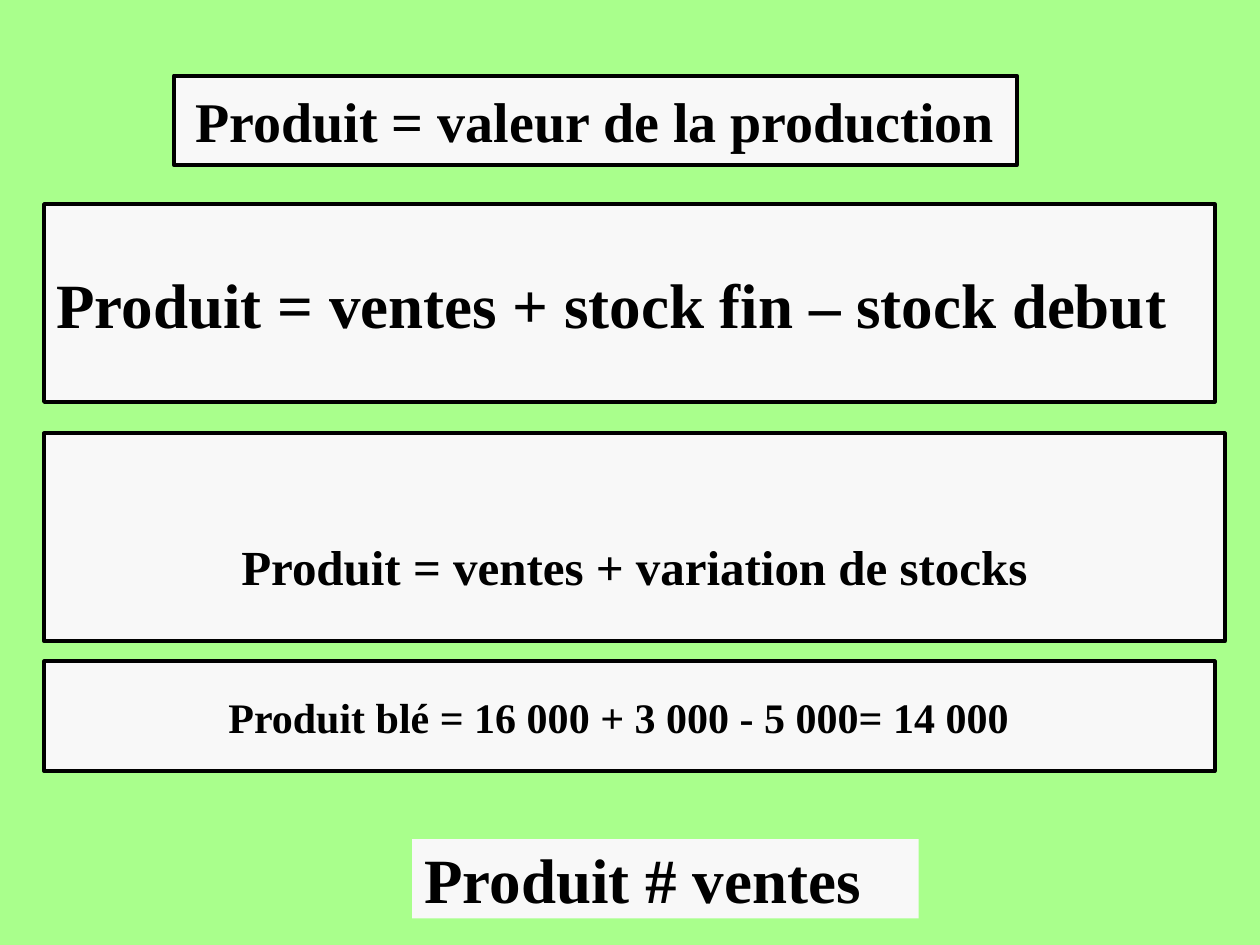
"""Build a slide of formulas defining the product of a farm."""
import pptx
import pptx.util
import pptx.dml.color
import pptx.enum.shapes
import pptx.enum.text
from dataclasses import dataclass

Inches = pptx.util.Inches
Pt = pptx.util.Pt
Color = pptx.dml.color.RGBColor
LEFT = pptx.enum.text.PP_ALIGN.LEFT
CENTER = pptx.enum.text.PP_ALIGN.CENTER


@dataclass(frozen=True)
class Theme:
    background: Color = Color(0xA9, 0xFF, 0x8C)
    panel: Color = Color(0xF8, 0xF8, 0xF8)
    ink: Color = Color(0, 0, 0)
    font: str = "Times New Roman"
    huge: int = 36
    large: int = 32
    medium: int = 28
    small: int = 24
    border: float = 2.25


theme = Theme()
deck = pptx.Presentation()
deck.slide_width, deck.slide_height = Inches(10), Inches(7.5)
page = deck.slides.add_slide(deck.slide_layouts[6])
page.background.fill.solid()
page.background.fill.fore_color.rgb = theme.background

formulas = [
    ("Produit = ventes + stock fin – stock debut", (0.35, 1.62, 9.29, 1.57), theme.huge, LEFT, True, 0.05, 0.1),
    ("Produit = valeur de la production", (1.38, 0.6, 6.69, 0.71), theme.large, CENTER, True, 0.05, 0.1),
    ("Produit = ventes + variation de stocks", (0.35, 3.44, 9.37, 1.65), theme.medium, CENTER, True, 0.5, 0.1),
    ("Produit blé = 16 000 + 3 000 - 5 000= 14 000", (0.35, 5.25, 9.29, 0.87), theme.small, CENTER, True, 0.05, 0.27),
    ("Produit # ventes", (3.27, 6.66, 4.02, 0.63), theme.huge, LEFT, False, 0.05, 0.1),
]

for formula, bounds, size, alignment, bordered, top_inset, right_inset in formulas:
    box = page.shapes.add_shape(pptx.enum.shapes.MSO_SHAPE.RECTANGLE, *map(Inches, bounds))
    box.shadow.inherit = False
    box.fill.solid()
    box.fill.fore_color.rgb = theme.panel
    if bordered:
        box.line.color.rgb = theme.ink
        box.line.width = Pt(theme.border)
    else:
        box.line.fill.background()
    frame = box.text_frame
    frame.text = formula
    frame.word_wrap = False
    frame.vertical_anchor = pptx.enum.text.MSO_ANCHOR.MIDDLE
    frame.margin_left, frame.margin_right = Inches(0.1), Inches(right_inset)
    frame.margin_top, frame.margin_bottom = Inches(top_inset), Inches(0.05)
    para = frame.paragraphs[0]
    para.alignment = alignment
    span = para.runs[0]
    span.font.name = theme.font
    span.font.size = Pt(size)
    span.font.bold = True
    span.font.color.rgb = theme.ink

deck.save("out.pptx")
